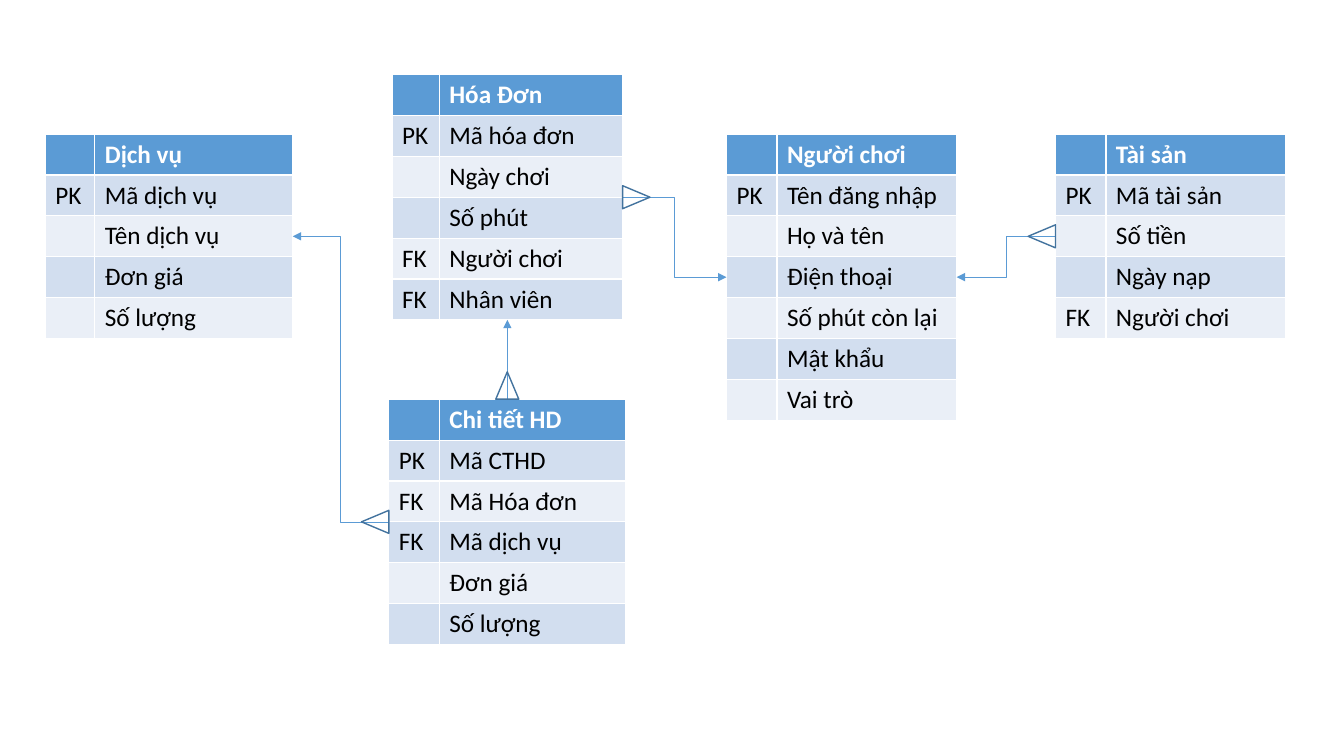
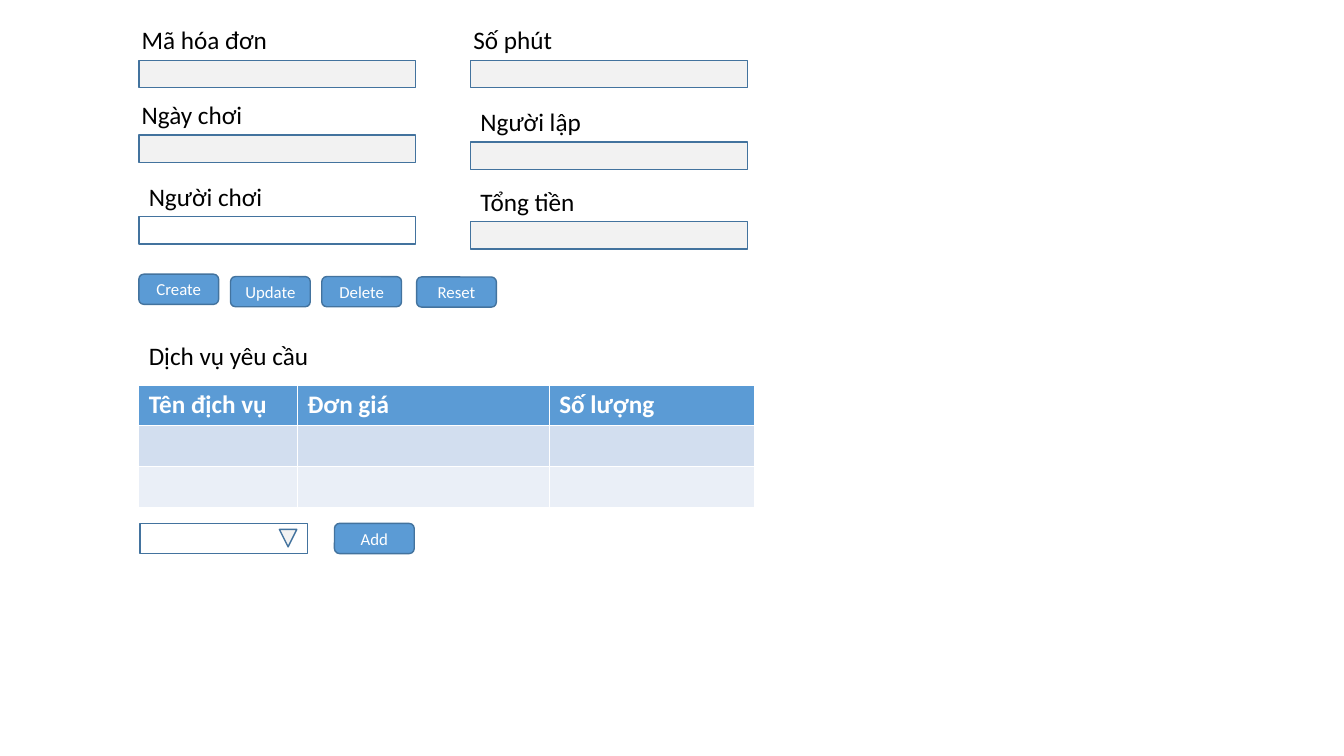
from lxml import etree
from pptx import Presentation
from pptx.dml.color import RGBColor
from pptx.enum import shapes, text
from pptx.oxml.ns import qn
from pptx.util import Cm, Pt

SHAPE = shapes.MSO_SHAPE
TOP, LEFT, BOTTOM, RIGHT = range(4)


def rgb(color):
    return RGBColor.from_string(color)


class Deck:
    """Holds the shared style and the slide being drawn."""
    FONT = "Calibri"
    BLUE, EDGE = "5B9BD5", "43739E"
    BANDS = ("D2DEEF", "EAEFF7")
    WHITE, BLACK, GREY = "FFFFFF", "000000", "F2F2F2"
    ROW_H = 1.03

    def __init__(self):
        self.prs = Presentation()
        self.prs.slide_width, self.prs.slide_height = Cm(33.87), Cm(19.05)
        self.s = None

    def new_slide(self):
        self.s = self.prs.slides.add_slide(self.prs.slide_layouts[6])

    def set_text(self, tf, words, size, color, bold=False):
        p = tf.paragraphs[0]
        p.text = words
        p.font.name, p.font.size, p.font.bold = self.FONT, Pt(size), bold
        p.font.color.rgb = rgb(color)
        return p

    def table(self, x, y, widths, rows):
        frame = self.s.shapes.add_table(
            len(rows), len(widths), Cm(x), Cm(y),
            Cm(sum(widths)), Cm(self.ROW_H * len(rows)))
        tbl = frame.table
        for col, width in zip(tbl.columns, widths):
            col.width = Cm(width)
        for i, row in enumerate(rows):
            fill = self.BANDS[(i - 1) % 2] if i else self.BLUE
            for j, words in enumerate(row):
                cell = tbl.cell(i, j)
                cell.fill.solid()
                cell.fill.fore_color.rgb = rgb(fill)
                if words:
                    self.set_text(cell.text_frame, words, 18,
                                  self.BLACK if i else self.WHITE, bold=i == 0)
        return frame

    def shape(self, kind, x, y, w, h, fill=None):
        sp = self.s.shapes.add_shape(kind, Cm(x), Cm(y), Cm(w), Cm(h))
        sp.shadow.inherit = False
        if fill:
            sp.fill.solid()
            sp.fill.fore_color.rgb = rgb(fill)
        else:
            sp.fill.background()
        sp.line.color.rgb = rgb(self.EDGE)
        sp.line.width = Pt(1)
        return sp

    def label(self, x, y, w, words):
        tf = self.s.shapes.add_textbox(Cm(x), Cm(y), Cm(w), Cm(1.02)).text_frame
        tf.word_wrap = False
        tf.auto_size = text.MSO_AUTO_SIZE.SHAPE_TO_FIT_TEXT
        self.set_text(tf, words, 18, self.BLACK)

    def field(self, x, y, words, w, shift=0, fill=GREY):
        """Input box with its label just above it."""
        self.shape(SHAPE.RECTANGLE, x, y, 6.98, 0.69, fill)
        self.label(x + shift, y - 1.02, w, words)

    def button(self, x, y, words):
        sp = self.shape(SHAPE.ROUNDED_RECTANGLE, x, y, 2.01, 0.76, self.BLUE)
        sp.text_frame.vertical_anchor = text.MSO_ANCHOR.MIDDLE
        p = self.set_text(sp.text_frame, words, 12, self.WHITE)
        p.alignment = text.PP_ALIGN.CENTER

    def link(self, one, one_side, many, many_side, kind=shapes.MSO_CONNECTOR.ELBOW):
        """One-to-many relation: arrowhead at one end, crow's foot at the other."""
        cx = self.s.shapes.add_connector(kind, 0, 0, 0, 0)
        cx.begin_connect(one, one_side)
        cx.end_connect(many, many_side)
        cx.line.color.rgb = rgb(self.BLUE)
        cx.line.width = Pt(0.5)
        sp_pr = cx._element.spPr
        etree.SubElement(sp_pr.find(qn("a:ln")), qn("a:headEnd"), type="triangle")
        etree.SubElement(sp_pr, qn("a:effectLst"))

        w, h = 0.58, 0.69
        dx, dy, turn = {TOP: (0, -1, 0), LEFT: (-1, 0, 270),
                        RIGHT: (1, 0, 90)}[many_side]
        mid_x = cx.end_x / Cm(1) + dx * h / 2
        mid_y = cx.end_y / Cm(1) + dy * h / 2
        foot = self.shape(SHAPE.ISOSCELES_TRIANGLE, mid_x - w / 2, mid_y - h / 2, w, h)
        foot.rotation = turn


def entity_slide(d):
    d.new_slide()
    # Entities
    invoice = d.table(9.88, 1.88, (1.19, 4.62), [
        ("", "Hóa Đơn"), ("PK", "Mã hóa đơn"), ("", "Ngày chơi"),
        ("", "Số phút"), ("FK", "Người chơi"), ("FK", "Nhân viên")])
    detail = d.table(9.8, 10.06, (1.27, 4.7), [
        ("", "Chi tiết HD"), ("PK", "Mã CTHD"), ("FK", "Mã Hóa đơn"),
        ("FK", "Mã dịch vụ"), ("", "Đơn giá"), ("", "Số lượng")])
    player = d.table(18.31, 3.38, (1.27, 4.53), [
        ("", "Người chơi"), ("PK", "Tên đăng nhập"), ("", "Họ và tên"),
        ("", "Điện thoại"), ("", "Số phút còn lại"), ("", "Mật khẩu"),
        ("", "Vai trò")])
    asset = d.table(26.6, 3.38, (1.27, 4.53), [
        ("", "Tài sản"), ("PK", "Mã tài sản"), ("", "Số tiền"),
        ("", "Ngày nạp"), ("FK", "Người chơi")])
    service = d.table(1.14, 3.38, (1.25, 4.99), [
        ("", "Dịch vụ"), ("PK", "Mã dịch vụ"), ("", "Tên dịch vụ"),
        ("", "Đơn giá"), ("", "Số lượng")])
    # Relations
    d.link(service, RIGHT, detail, LEFT)
    d.link(invoice, BOTTOM, detail, TOP, shapes.MSO_CONNECTOR.STRAIGHT)
    d.link(player, RIGHT, asset, LEFT)
    d.link(player, LEFT, invoice, RIGHT)


def form_slide(d):
    d.new_slide()
    left, right, outdent = 3.5, 11.86, -0.18
    # Invoice fields
    d.field(left, 1.52, "Mã hóa đơn", 3.71, outdent)
    d.field(left, 3.4, "Ngày chơi", 3.07, outdent)
    d.field(left, 5.46, "Người chơi", 3.4, fill=d.WHITE)
    d.field(right, 1.52, "Số phút", 2.51, outdent)
    d.field(right, 3.58, "Người lập", 3.07)
    d.field(right, 5.59, "Tổng tiền", 2.92)
    # Action buttons
    for x, y, words in ((left, 6.91, "Create"), (5.81, 6.97, "Update"),
                        (8.11, 6.97, "Delete"), (10.5, 6.98, "Reset")):
        d.button(x, y, words)
    # Requested services
    d.label(left, 8.46, 4.6, "Dịch vụ yêu cầu")
    d.table(left, 9.7, (3.99, 6.35, 5.18), [
        ("Tên địch vụ", "Đơn giá", "Số lượng"), ("",) * 3, ("",) * 3])
    # Service picker
    d.shape(SHAPE.RECTANGLE, 3.53, 13.19, 4.22, 0.76, d.WHITE)
    arrow = d.shape(SHAPE.ISOSCELES_TRIANGLE, 7.04, 13.34, 0.44, 0.44, d.GREY)
    arrow.rotation = 180
    d.button(8.43, 13.19, "Add")


def main():
    d = Deck()
    entity_slide(d)
    form_slide(d)
    d.prs.save("out.pptx")


if __name__ == "__main__":
    main()
